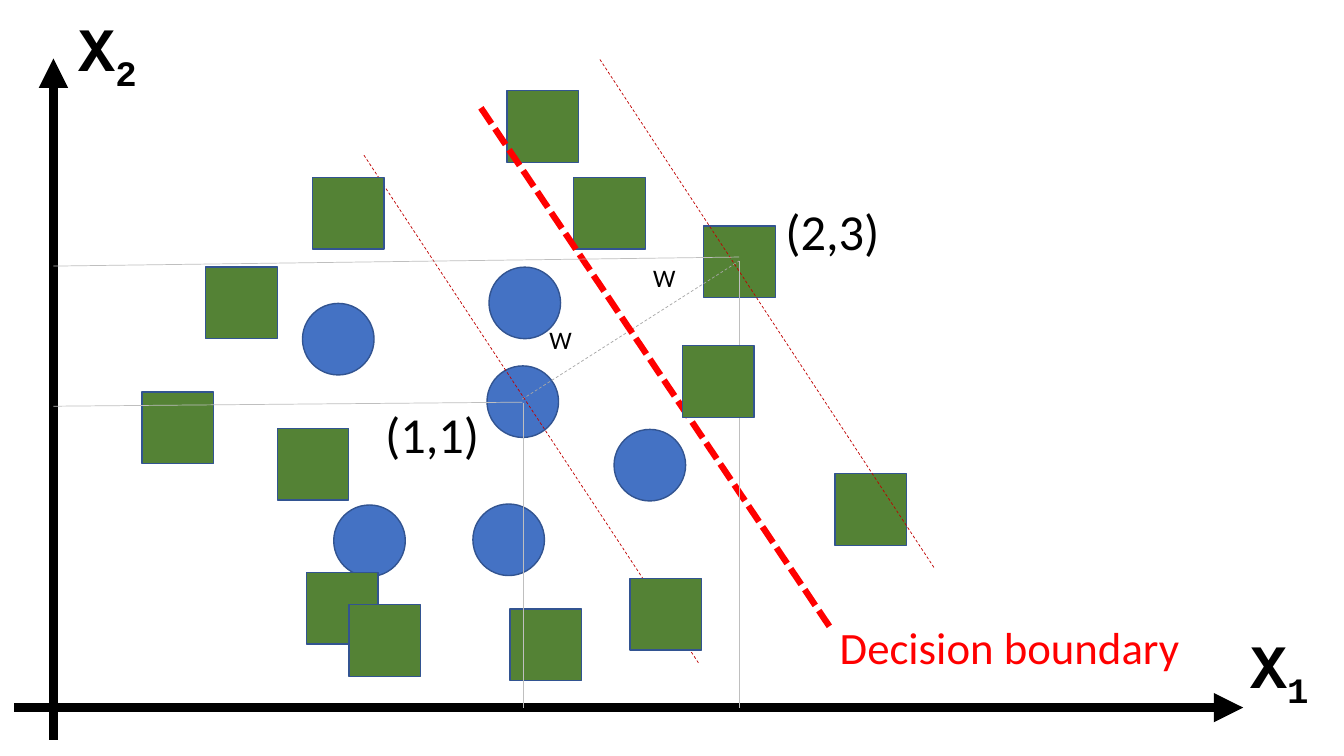
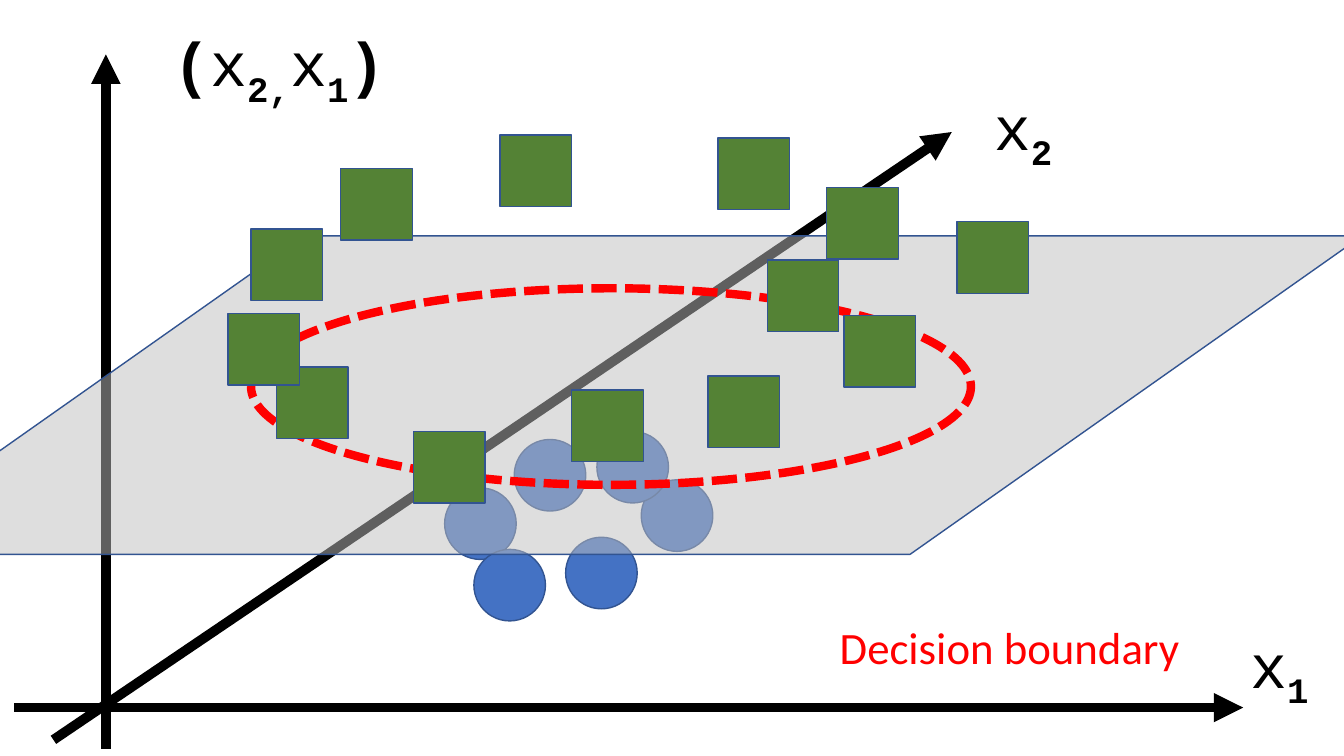
from pptx import Presentation
from pptx.dml.color import RGBColor
from pptx.enum.dml import MSO_LINE
from pptx.enum.shapes import MSO_CONNECTOR, MSO_SHAPE
from pptx.enum.text import MSO_AUTO_SIZE
from pptx.oxml.ns import qn
from pptx.oxml.xmlchemy import OxmlElement
from pptx.util import Inches, Pt

COLOURS = {
    "axis": "000000", "dot": "4472C4", "square": "548235", "outline": "325491",
    "boundary": "FF0000", "margin": "C00000", "guide": "BFBFBF",
    "distance": "A6A6A6", "plane": "BFBFBF",
}
LINE_STYLES = {
    "axis": (7, None),
    "boundary": (4.5, MSO_LINE.SQUARE_DOT),
    "margin": (0.5, MSO_LINE.DASH),
    "distance": (0.5, MSO_LINE.DASH),
    "guide": (0.5, None),
}
MARKER = 0.71
SYMBOL, PLAIN = "Courier New", "Calibri"
BOLD, SUB = "bold", "sub"

HORIZONTAL_AXIS = (0.14, 7.02, 12.33, 7.02)
AXIS_LABEL_SIZE = (0.82, 0.85)
X1_LABEL_AT = (12.3, 6.17)
PLANE_AT, PLANE_SLANT = (-1.46, 2.34, 14.97, 3.16), 1.419
ELLIPSE_AT, ELLIPSE_WEIGHT = (2.49, 2.86, 7.14, 1.95), 6

FLAT_DOTS = [(4.83, 3.63), (4.69, 5), (6.09, 4.26), (3, 3.01), (4.85, 2.65), (3.31, 5.01)]
FLAT_SQUARES_BEHIND = [(5.03, 0.9), (8.28, 4.7), (5.69, 1.76), (1.41, 3.89), (6.98, 2.24), (5.06, 6.04)]
FLAT_SQUARES_FRONT = [
    (2.04, 2.65), (3.1, 1.76), (6.77, 3.43), (6.25, 5.74),
    (2.75, 4.25), (3.04, 5.68), (3.46, 6),
]
FLAT_LINES = [
    ("distance", (5.18, 3.96, 7.33, 2.59)),
    ("boundary", (4.77, 1.07, 8.23, 6.22)),
    ("margin", (3.61, 1.54, 6.93, 6.58)),
    ("margin", (5.95, 0.59, 9.27, 5.64)),
]
GUIDES = [
    (5.18, 3.99, 0.53, 4.03), (5.19, 4, 5.19, 7.02),
    (7.33, 2.59, 7.33, 7.02), (7.33, 2.55, 0.53, 2.64),
]
WIDTH_LABELS = [(5.35, 3.17), (6.38, 2.55)]
POINT_LABELS = [("(1,1)", (3.72, 3.95)), ("(2,3)", (7.69, 1.94))]

LIFTED_DOTS = [(5.1, 4.36), (5.61, 5.33), (6.36, 4.76), (4.41, 4.84), (5.92, 4.28), (4.7, 5.45)]
LIFTED_SQUARES = [
    (7.02, 3.73), (7.12, 1.37), (2.74, 3.64), (9.49, 2.2), (5.67, 3.87),
    (3.38, 1.67), (4.96, 1.34), (8.37, 3.13), (7.61, 2.58), (2.26, 3.11),
    (4.1, 4.28), (2.49, 2.27), (8.2, 1.86),
]
PRODUCT_LABEL = [("(", BOLD), ("x", ""), ("2,", BOLD + SUB), ("x", ""), ("1", BOLD + SUB), (")", BOLD)]


def colour(name):
    return RGBColor.from_string(COLOURS[name])


def add_outline(shape, name, weight, dash=None):
    shape.line.color.rgb = colour(name)
    shape.line.width = Pt(weight)
    if dash:
        shape.line.dash_style = dash


def add_figure(page, kind, place, fill=None):
    shape = page.shapes.add_shape(kind, *map(Inches, place))
    shape.shadow.inherit = False
    if fill:
        shape.fill.solid()
        shape.fill.fore_color.rgb = colour(fill)
    else:
        shape.fill.background()
    add_outline(shape, "outline", 1)
    return shape


def add_markers(page, kind, name, places):
    for left, top in places:
        add_figure(page, kind, (left, top, MARKER, MARKER), name)


def add_dots(page, places):
    add_markers(page, MSO_SHAPE.OVAL, "dot", places)


def add_squares(page, places):
    add_markers(page, MSO_SHAPE.RECTANGLE, "square", places)


def add_line(page, name, ends):
    line = page.shapes.add_connector(MSO_CONNECTOR.STRAIGHT, *map(Inches, ends))
    add_outline(line, name, *LINE_STYLES[name])
    properties = line._element.spPr
    if name == "axis":
        arrow = OxmlElement("a:tailEnd")
        arrow.set("type", "triangle")
        properties.find(qn("a:ln")).append(arrow)
    properties.append(OxmlElement("a:effectLst"))


def add_label(page, spans, place, size, points, font=PLAIN, name="axis", wrap=True):
    box = page.shapes.add_textbox(*map(Inches, place + size))
    frame = box.text_frame
    frame.word_wrap = wrap
    frame.auto_size = MSO_AUTO_SIZE.SHAPE_TO_FIT_TEXT
    para = frame.paragraphs[0]
    para.font.name = font
    para.font.size = Pt(points)
    para.font.color.rgb = colour(name)
    for text, style in spans:
        span = para.add_run()
        span.text = text
        span.font.name = font
        span.font.size = Pt(points)
        span.font.color.rgb = colour(name)
        span.font.bold = BOLD in style
        if SUB in style:
            span.font._element.set("baseline", "-25000")


def add_axis_label(page, letter, index, place, style=""):
    spans = [(letter, style), (index, BOLD + SUB)]
    add_label(page, spans, place, AXIS_LABEL_SIZE, 44, SYMBOL)


def add_shared(page, letter, style=""):
    add_line(page, "axis", HORIZONTAL_AXIS)
    add_axis_label(page, letter, "1", X1_LABEL_AT, style)
    add_label(page, [("Decision boundary", "")], (8.23, 6.1), (3.88, 0.64), 32, name="boundary")


def build_flat_page(page):
    add_dots(page, FLAT_DOTS)
    add_squares(page, FLAT_SQUARES_BEHIND)
    add_shared(page, "X", BOLD)
    add_line(page, "axis", (0.53, 7.34, 0.53, 0.58))
    add_axis_label(page, "X", "2", (0.68, 0.05), BOLD)
    for name, ends in FLAT_LINES:
        add_line(page, name, ends)
    for place in WIDTH_LABELS:
        add_label(page, [("W", "")], place, (0.43, 0.4), 18, wrap=False)
    for text, place in POINT_LABELS:
        add_label(page, [(text, "")], place, (1.19, 0.71), 36)
    for ends in GUIDES:
        add_line(page, "guide", ends)
    add_squares(page, FLAT_SQUARES_FRONT)


def build_lifted_page(page):
    add_dots(page, LIFTED_DOTS)
    add_shared(page, "x")
    add_line(page, "axis", (0.53, 7.34, 9.44, 1.31))
    add_axis_label(page, "x", "2", (9.76, 0.83))
    add_line(page, "axis", (1.05, 7.43, 1.05, 0.54))
    add_label(page, PRODUCT_LABEL, (1.62, 0.2), (3.17, 0.84), 44, SYMBOL)
    plane = add_figure(page, MSO_SHAPE.PARALLELOGRAM, PLANE_AT, "plane")
    plane.adjustments[0] = PLANE_SLANT
    alpha = OxmlElement("a:alpha")
    alpha.set("val", "50000")
    plane._element.spPr.find(qn("a:solidFill"))[0].append(alpha)
    ring = add_figure(page, MSO_SHAPE.OVAL, ELLIPSE_AT)
    add_outline(ring, "boundary", ELLIPSE_WEIGHT, MSO_LINE.SQUARE_DOT)
    add_squares(page, LIFTED_SQUARES)


deck = Presentation()
deck.slide_width, deck.slide_height = Inches(13.33), Inches(7.5)
for build in (build_flat_page, build_lifted_page):
    build(deck.slides.add_slide(deck.slide_layouts[6]))
deck.save("out.pptx")
